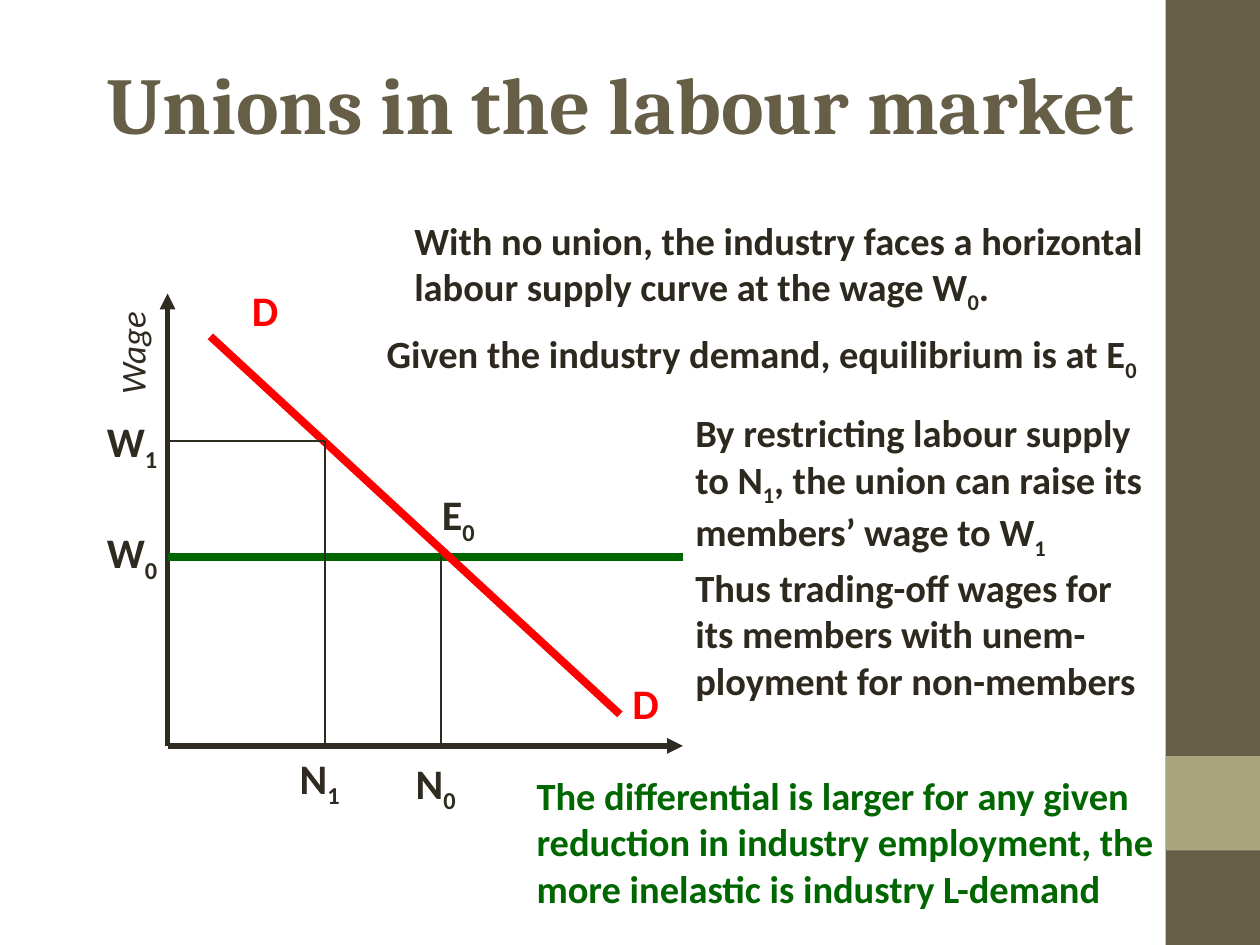
from lxml import etree
from pptx import Presentation
from pptx.dml.color import RGBColor
from pptx.enum import shapes, text
from pptx.oxml.ns import qn
from pptx.util import Inches, Pt

COLORS = {
    "band": "675E47", "accent": "A9A57C", "ink": "2F2B20",
    "body": "2D291E", "demand": "FF0000", "supply": "006600",
}

# Key positions on the diagram, in inches
AXIS_X, AXIS_Y = 1.33, 5.92
AXIS_END, AXIS_TOP = 5.42, 2.33
W0, W1 = 4.42, 3.5
N0, N1 = 3.5, 2.58

TITLE = "Unions in the labour market"

# left, top, width, height, colour
BANDS = [
    (9.25, 0, 0.75, 7.5, "band"),
    (9.25, 6, 0.75, 0.75, "accent"),
]

# start, end, colour, weight, arrow
LINES = [
    ((AXIS_X, AXIS_Y), (AXIS_END, AXIS_Y), "ink", 3, True),
    ((AXIS_X, AXIS_Y), (AXIS_X, AXIS_TOP), "ink", 3, True),
    ((AXIS_X, W0), (AXIS_END, W0), "supply", 4.5, False),
    ((1.67, 2.67), (4.92, 5.67), "demand", 4.5, False),
    ((N0, W0), (N0, AXIS_Y), "ink", 0.75, False),
    ((N1, AXIS_Y), (N1, W1), "ink", 0.75, False),
    ((N1, W1), (AXIS_X, W1), "ink", 0.75, False),
]

# An underscore makes the next character a subscript
# text, left, top, width, height, colour
LABELS = [
    ("W_0", 0.75, 4.13, 0.6, 0.56, "ink"),
    ("W_1", 0.75, 3.25, 0.6, 0.56, "ink"),
    ("N_0", 3.2, 5.96, 0.52, 0.56, "ink"),
    ("N_1", 2.28, 5.92, 0.52, 0.56, "ink"),
    ("E_0", 3.41, 3.83, 0.46, 0.56, "ink"),
    ("D", 1.9, 2.21, 0.41, 0.5, "demand"),
    ("D", 4.92, 5.33, 0.41, 0.5, "demand"),
]
NOTES = [
    ("With no union, the industry faces a horizontal labour supply curve "
     "at the wage W_0.", 3.19, 1.67, 6.03, 0.89, "body"),
    ("Given the industry demand, equilibrium is at E_0",
     2.97, 2.57, 6.28, 0.52, "body"),
    ("By restricting labour supply to N_1, the union can raise its "
     "members’ wage to W_1", 5.42, 3.2, 3.81, 1.3, "body"),
    ("Thus trading-off wages for its members with unem-ployment for "
     "non-members", 5.42, 4.43, 3.81, 1.2, "body"),
    ("The differential is larger for any given reduction in industry "
     "employment, the more inelastic is industry L-demand",
     4.16, 6.08, 5.18, 1.2, "supply"),
]


def rgb(name):
    return RGBColor.from_string(COLORS[name])


def add_band(slide, left, top, width, height, color):
    sp = slide.shapes.add_shape(shapes.MSO_SHAPE.RECTANGLE, Inches(left),
                                Inches(top), Inches(width), Inches(height))
    sp.shadow.inherit = False
    sp.fill.solid()
    sp.fill.fore_color.rgb = rgb(color)
    sp.line.fill.background()


def add_line(slide, start, end, color, weight, arrow):
    points = [Inches(v) for v in (*start, *end)]
    line = slide.shapes.add_connector(shapes.MSO_CONNECTOR.STRAIGHT, *points)
    line.line.color.rgb = rgb(color)
    line.line.width = Pt(weight)
    if arrow:
        etree.SubElement(line.line._get_or_add_ln(), qn("a:tailEnd"),
                         type="triangle")
    etree.SubElement(line._element.spPr, qn("a:effectLst"))


def add_text(slide, content, left, top, width, height, color, size,
             wrap=True, font="Calibri", bold=True, italic=False):
    box = slide.shapes.add_textbox(Inches(left), Inches(top),
                                   Inches(width), Inches(height))
    tf = box.text_frame
    tf.word_wrap = wrap
    p = tf.paragraphs[0]
    p.font.name, p.font.size = font, Pt(size)
    p.font.bold, p.font.italic = bold, italic
    p.font.color.rgb = rgb(color)
    first, *rest = content.split("_")
    p.add_run().text = first
    for part in rest:
        r = p.add_run()
        r.text = part[0]
        r._r.get_or_add_rPr().set("baseline", "-25000")
        if part[1:]:
            p.add_run().text = part[1:]
    return box


def main():
    prs = Presentation()
    prs.slide_width, prs.slide_height = Inches(10), Inches(7.5)
    s = prs.slides.add_slide(prs.slide_layouts[6])

    for band in BANDS:
        add_band(s, *band)
    title = add_text(s, TITLE, 0.75, 0.21, 8.5, 1.21, "band", 46,
                     font="Cambria")
    title.text_frame.vertical_anchor = text.MSO_ANCHOR.MIDDLE

    for line in LINES:
        add_line(s, *line)
    wage = add_text(s, "Wage", 0.62, 2.58, 0.86, 0.44, "ink", 20,
                    wrap=False, bold=False, italic=True)
    wage.rotation = 270
    for label in LABELS:
        add_text(s, *label, size=24, wrap=False)
    for note in NOTES:
        add_text(s, *note, size=22)

    prs.save("out.pptx")


if __name__ == "__main__":
    main()
